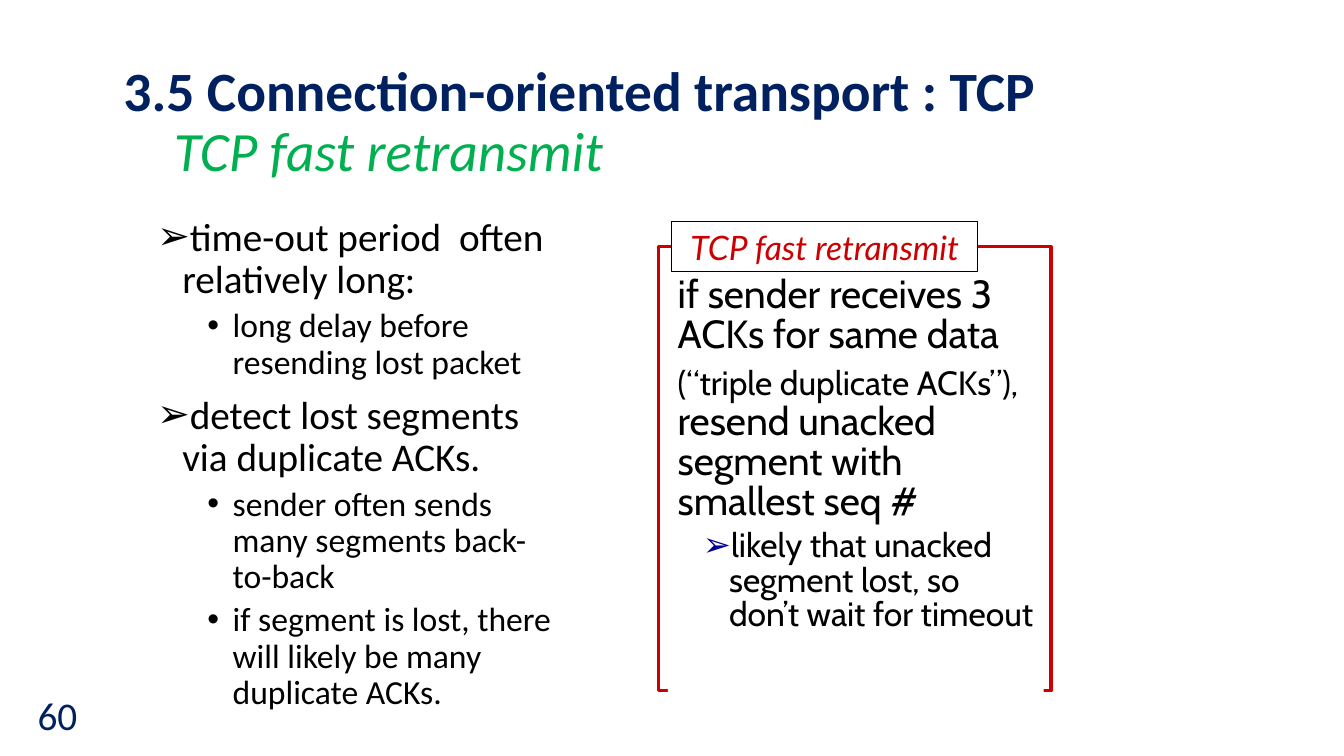
from lxml import etree
from pptx import Presentation
from pptx.dml.color import RGBColor
from pptx.enum.shapes import MSO_SHAPE as Preset
from pptx.enum.text import MSO_ANCHOR as Anchor, MSO_AUTO_SIZE as AutoSize, PP_ALIGN as Align
from pptx.oxml.ns import qn
from pptx.util import Emu, Pt

NAVY = RGBColor(0x00, 0x20, 0x60)
GREEN = RGBColor(0x00, 0xB0, 0x50)
RED = RGBColor(0xCC, 0x00, 0x00)
BLUE = RGBColor(0x00, 0x00, 0x99)
BLACK = RGBColor(0x00, 0x00, 0x00)
WHITE = RGBColor(0xFF, 0xFF, 0xFF)

EMU_PER_PX = 9525
ARROW, DOT = "➢", "•"


def px(value):
    return Emu(value * EMU_PER_PX)


class SlideBuilder:
    """Holds the current slide and the style of its elements."""

    body_font = "Calibri"
    panel_font = "Cabin"
    label_font = "Lato"

    def __init__(self, presentation):
        self.slide = presentation.slides.add_slide(presentation.slide_layouts[1])

    def place(self, shape, left, top, width, height):
        shape.left, shape.top = px(left), px(top)
        shape.width, shape.height = px(width), px(height)
        shape.text_frame.auto_size = AutoSize.NONE
        return shape

    def style(self, font, name, size, color, bold=False, italic=False):
        font.name, font.size = name, Pt(size)
        font.bold, font.italic = bold, italic
        font.color.rgb = color

    def bullet(self, paragraph, character, margin, hanging, color=None):
        properties = paragraph._p.get_or_add_pPr()
        properties.set("marL", str(px(margin)))
        properties.set("indent", str(px(-hanging)))
        if color is not None:
            fill = etree.SubElement(properties, qn("a:buClr"))
            etree.SubElement(fill, qn("a:srgbClr"), val=str(color))
        etree.SubElement(properties, qn("a:buFont"), typeface="Arial")
        etree.SubElement(properties, qn("a:buChar"), char=character)

    def paragraphs(self, text_frame, count):
        for _ in range(count - 1):
            text_frame.add_paragraph()
        return text_frame.paragraphs

    def title(self, heading, subheading, *area):
        shape = self.place(self.slide.shapes.title, *area)
        shape.text_frame.vertical_anchor = Anchor.MIDDLE
        paragraph = shape.text_frame.paragraphs[0]
        paragraph.alignment, paragraph.line_spacing = Align.LEFT, 0.9
        run = paragraph.add_run()
        run.text = heading
        self.style(run.font, self.body_font, 39.6, NAVY, bold=True)
        paragraph.add_line_break()
        run = paragraph.add_run()
        run.text = "\t" + subheading
        self.style(run.font, self.body_font, 39.6, GREEN, italic=True)

    def body(self, items, *area):
        frame = self.place(self.slide.placeholders[1], *area).text_frame
        for index, (paragraph, (level, text)) in enumerate(
                zip(self.paragraphs(frame, len(items)), items)):
            paragraph.text, paragraph.level = text, level
            self.bullet(paragraph, (ARROW, DOT)[level], (24, 72)[level], 24)
            paragraph.line_spacing = 0.9
            paragraph.space_before = Pt((10, 5)[level] if index else 0)
            self.style(paragraph.font, self.body_font, (28, 24)[level], BLACK)

    def box(self, *area, line=None, line_width=0):
        shape = self.slide.shapes.add_shape(Preset.RECTANGLE, *map(px, area))
        shape.shadow.inherit = False
        shape.fill.solid()
        shape.fill.fore_color.rgb = WHITE
        if line is None:
            shape.line.fill.background()
        else:
            shape.line.color.rgb = line
            shape.line.width = Pt(line_width)
        shape.text_frame.vertical_anchor = Anchor.TOP
        return shape

    def panel_text(self, items, *area):
        frame = self.box(*area).text_frame
        for index, (paragraph, (level, runs)) in enumerate(
                zip(self.paragraphs(frame, len(items)), items)):
            paragraph.level = level
            if level:
                self.bullet(paragraph, ARROW, 49, 25, BLUE)
            paragraph.alignment, paragraph.line_spacing = Align.LEFT, 0.85
            paragraph.space_before = Pt(0.2 * runs[0][1] if index else 0)
            for text, size in runs:
                run = paragraph.add_run()
                run.text = text
                self.style(run.font, self.panel_font, size, BLACK)

    def label(self, text, *area):
        frame = self.box(*area, line=BLACK, line_width=0.75).text_frame
        frame.word_wrap = False
        paragraph = frame.paragraphs[0]
        paragraph.text, paragraph.alignment = text, Align.CENTER
        self.style(paragraph.font, self.label_font, 24, RED, italic=True)

    def page_number(self, text, *area):
        shape = self.slide.shapes.add_textbox(*map(px, area))
        shape.text_frame.word_wrap = True
        shape.text_frame.vertical_anchor = Anchor.MIDDLE
        paragraph = shape.text_frame.paragraphs[0]
        paragraph.text, paragraph.alignment = text, Align.RIGHT
        self.style(paragraph.font, self.body_font, 28, NAVY)


def main():
    presentation = Presentation()
    presentation.slide_width, presentation.slide_height = px(1280), px(720)
    builder = SlideBuilder(presentation)

    # Title and page number
    builder.title("3.5 Connection-oriented transport : TCP",
                  "TCP fast retransmit", 108, 59, 1100, 118)
    builder.page_number("60", 0, 642, 83, 78)

    # Problem and detection
    builder.body([
        (0, "time-out period  often relatively long:"),
        (1, "long delay before resending lost packet"),
        (0, "detect lost segments via duplicate ACKs."),
        (1, "sender often sends many segments back-to-back"),
        (1, "if segment is lost, there will likely be many duplicate ACKs."),
    ], 140, 202, 400, 488)

    # Framed rule with its label
    builder.box(627, 235, 374, 423, line=RED, line_width=2.25)
    builder.panel_text([
        (0, [("if sender receives 3 ACKs for same data", 28)]),
        (0, [("(“triple duplicate ACKs”),", 24),
             (" resend unacked segment with smallest seq #", 28)]),
        (1, [("likely that unacked segment lost, so don’t wait for timeout", 24)]),
    ], 636, 259, 358, 400)
    builder.label("TCP fast retransmit", 640, 211, 291, 48)

    presentation.save("out.pptx")


if __name__ == "__main__":
    main()
